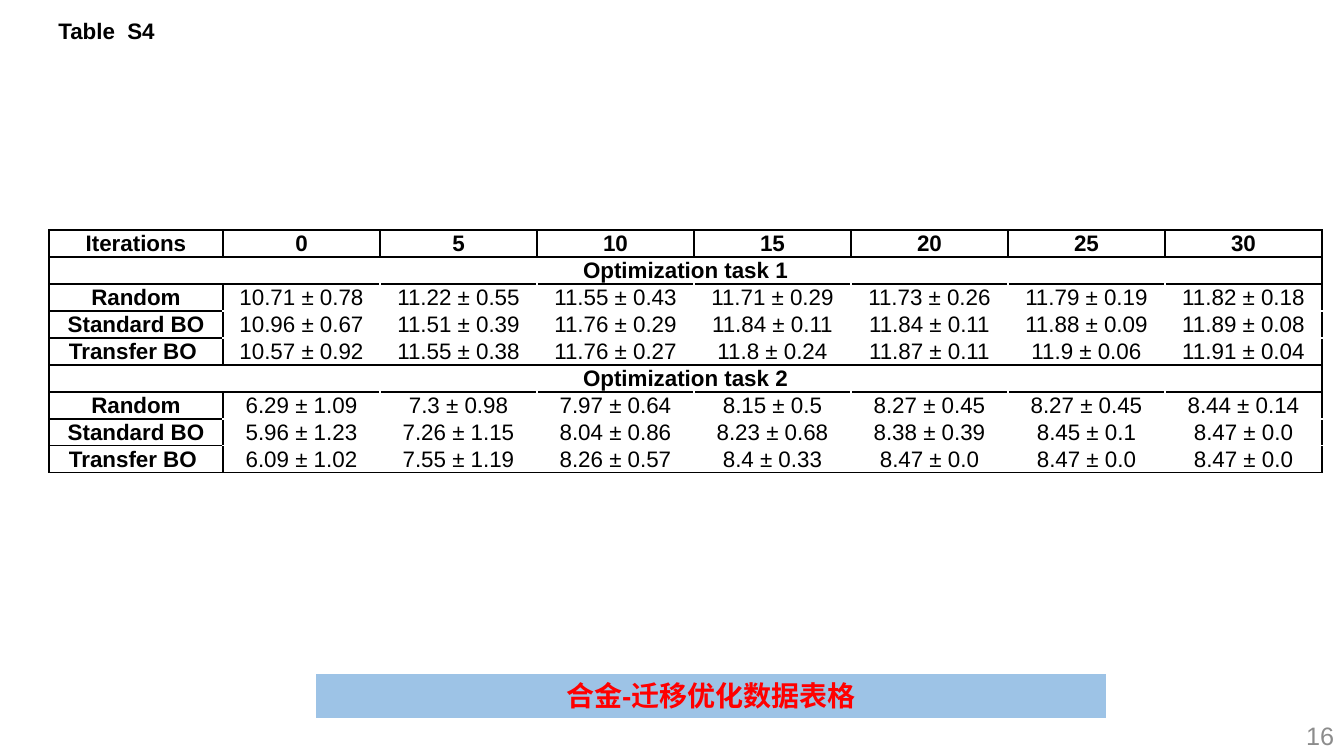
import pptx
import pptx.util
import pptx.dml.color
import pptx.enum.shapes
import pptx.enum.text
import lxml.etree

PX = 914400 / 100.8
RGB = pptx.dml.color.RGBColor
BLACK = RGB(0, 0, 0)
WHITE = RGB(255, 255, 255)
RED = RGB(255, 0, 0)
GREY = RGB(0x8C, 0x8C, 0x8C)
BLUE = RGB(0x9D, 0xC3, 0xE6)
ALIGN = pptx.enum.text.PP_ALIGN
ANCHOR = pptx.enum.text.MSO_ANCHOR
FIT = pptx.enum.text.MSO_AUTO_SIZE


def px(*sizes):
    return [pptx.util.Emu(round(size * PX)) for size in sizes]


def write(frame, text, size=16, color=BLACK, bold=False, align=ALIGN.CENTER,
          anchor=ANCHOR.MIDDLE):
    frame.word_wrap = True
    frame.vertical_anchor = anchor
    para = frame.paragraphs[0]
    para.alignment = align
    run = para.add_run()
    run.text = text
    run.font.name = "Arial"
    run.font.size = pptx.util.Pt(size)
    run.font.bold = bold
    run.font.color.rgb = color


deck = pptx.Presentation()
deck.slide_width, deck.slide_height = px(1344, 756)
slide = deck.slides.add_slide(deck.slide_layouts[6])
shapes = slide.shapes

# Page number
page = shapes.add_textbox(*px(1041, 715, 303, 40))
write(page.text_frame, "16", size=18, color=GREY, align=ALIGN.RIGHT)

# Caption bar
bar = shapes.add_shape(pptx.enum.shapes.MSO_SHAPE.RECTANGLE, *px(316, 674, 790, 44))
bar.shadow.inherit = False
bar.fill.solid()
bar.fill.fore_color.rgb = BLUE
bar.line.fill.background()
bar.text_frame.auto_size = FIT.SHAPE_TO_FIT_TEXT
write(bar.text_frame, "合金-迁移优化数据表格", size=20, color=RED, bold=True,
      anchor=ANCHOR.TOP)

# Table title
title = shapes.add_textbox(*px(0, 12, 213, 37))
title.text_frame.auto_size = FIT.SHAPE_TO_FIT_TEXT
write(title.text_frame, "Table  S4", bold=True, anchor=ANCHOR.TOP)

# Table data: a row with one entry spans the full width
rows = [
    ["Iterations", "0", "5", "10", "15", "20", "25", "30"],
    ["Optimization task 1"],
    ["Random", "10.71 ± 0.78", "11.22 ± 0.55", "11.55 ± 0.43", "11.71 ± 0.29",
     "11.73 ± 0.26", "11.79 ± 0.19", "11.82 ± 0.18"],
    ["Standard BO", "10.96 ± 0.67", "11.51 ± 0.39", "11.76 ± 0.29", "11.84 ± 0.11",
     "11.84 ± 0.11", "11.88 ± 0.09", "11.89 ± 0.08"],
    ["Transfer BO ", "10.57 ± 0.92", "11.55 ± 0.38", "11.76 ± 0.27", "11.8 ± 0.24",
     "11.87 ± 0.11", "11.9 ± 0.06", "11.91 ± 0.04"],
    ["Optimization task 2"],
    ["Random", "6.29 ± 1.09", "7.3 ± 0.98", "7.97 ± 0.64", "8.15 ± 0.5",
     "8.27 ± 0.45", "8.27 ± 0.45", "8.44 ± 0.14"],
    ["Standard BO", "5.96 ± 1.23", "7.26 ± 1.15", "8.04 ± 0.86", "8.23 ± 0.68",
     "8.38 ± 0.39", "8.45 ± 0.1", "8.47 ± 0.0"],
    ["Transfer BO ", "6.09 ± 1.02", "7.55 ± 1.19", "8.26 ± 0.57", "8.4 ± 0.33",
     "8.47 ± 0.0", "8.47 ± 0.0", "8.47 ± 0.0"],
]
count = len(rows[0])
last = count - 1
table = shapes.add_table(len(rows), count, *px(49, 230, 1270, 243)).table
table.first_row = table.horz_banding = False
for c, col in enumerate(table.columns):
    col.width = px(157 if c else 174)[0]
for row in table.rows:
    row.height = px(27)[0]

# Cells: value blocks are white inside and black around the edge
for r, row in enumerate(rows):
    if len(row) == 1:
        table.cell(r, 0).merge(table.cell(r, last))
    for c in range(count):
        cell = table.cell(r, c)
        value = r > 1 and c > 0 and len(row) > 1
        edges = {
            "L": not value or c == 1,
            "R": not value or c == last,
            "T": not value or row[0] == "Random",
            "B": not value or row[0] == "Transfer BO ",
        }
        props = cell._tc.get_or_add_tcPr()
        for side, dark in edges.items():
            line = lxml.etree.SubElement(props, pptx.oxml.ns.qn("a:ln" + side), w="12700")
            fill = lxml.etree.SubElement(line, pptx.oxml.ns.qn("a:solidFill"))
            lxml.etree.SubElement(fill, pptx.oxml.ns.qn("a:srgbClr"),
                                  val=str(BLACK if dark else WHITE))
        cell.fill.background()
        cell.margin_left, cell.margin_right, cell.margin_top, cell.margin_bottom = px(7, 7, 0, 0)
        cell.vertical_anchor = ANCHOR.MIDDLE
        if c < len(row):
            write(cell.text_frame, row[c], bold=not value)

deck.save("out.pptx")
